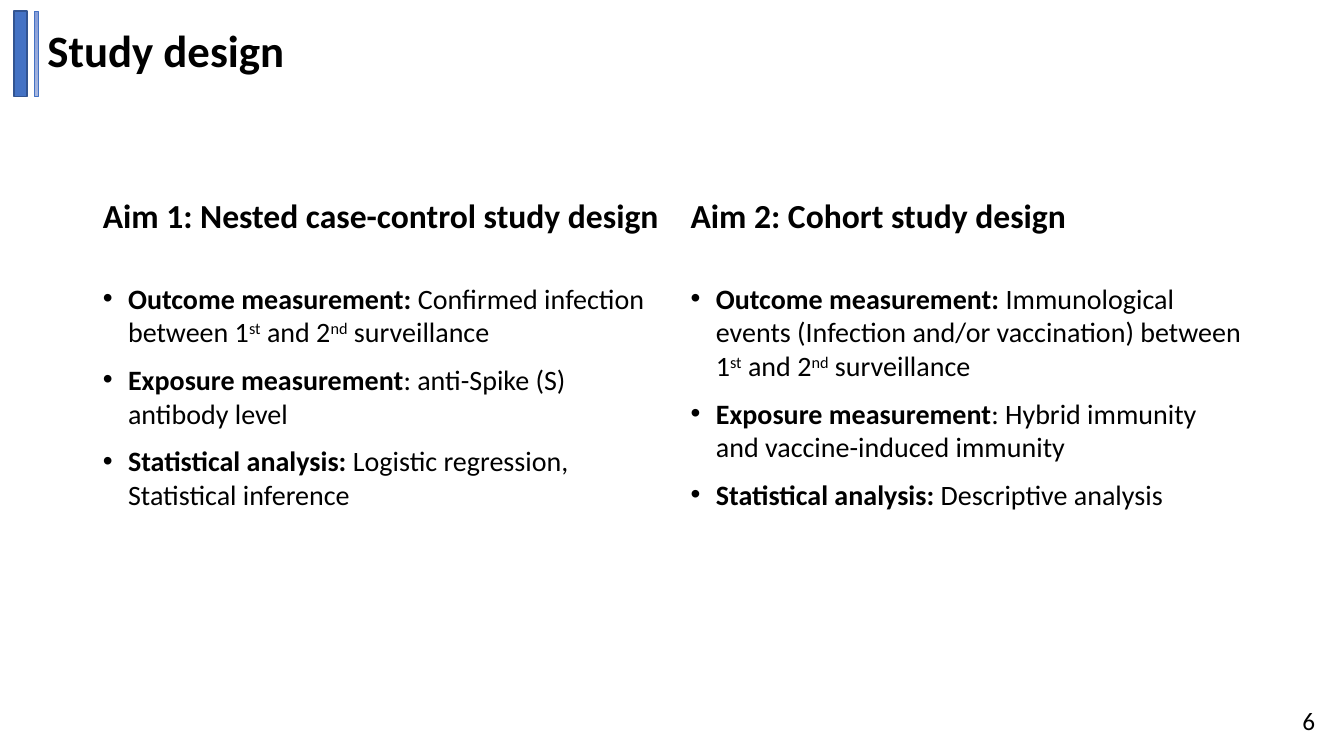
from lxml import etree
from pptx import Presentation
from pptx.dml.color import RGBColor
from pptx.enum.shapes import MSO_SHAPE
from pptx.enum.text import MSO_ANCHOR, MSO_AUTO_SIZE, PP_ALIGN
from pptx.oxml.ns import qn
from pptx.util import Inches, Pt

RECTANGLE = MSO_SHAPE.RECTANGLE
TOP, MIDDLE, BOTTOM = MSO_ANCHOR.TOP, MSO_ANCHOR.MIDDLE, MSO_ANCHOR.BOTTOM
LEFT = PP_ALIGN.LEFT
FIXED = MSO_AUTO_SIZE.NONE

BLACK = RGBColor(0x00, 0x00, 0x00)
BLUE = RGBColor(0x44, 0x72, 0xC4)
DARK_BLUE = RGBColor(0x32, 0x54, 0x91)
PALE_BLUE = RGBColor(0xA8, 0xB7, 0xDF)
SOFT_BLUE = RGBColor(0x88, 0x9E, 0xD7)
FONT = "Calibri"
COMPARISON_LAYOUT = 4

TITLE = "Study design"
PAGE_NUMBER = "6"
SUPERSCRIPT_MARK = "^"
AIMS = [
    {
        "heading": "Aim 1: Nested case-control study design",
        "left": 0.92, "heading_width": 5.75, "list_width": 5.64,
        "points": [
            ("Outcome measurement: ",
             "Confirmed infection between 1^st^ and 2^nd^ surveillance"),
            ("Exposure measurement", ": anti-Spike (S) antibody level"),
            ("Statistical analysis: ",
             "Logistic regression, Statistical inference"),
        ],
    },
    {
        "heading": "Aim 2: Cohort study design",
        "left": 6.75, "heading_width": 5.67, "list_width": 5.67,
        "points": [
            ("Outcome measurement: ",
             "Immunological events (Infection and/or vaccination) between "
             "1^st^ and 2^nd^ surveillance"),
            ("Exposure measurement",
             ": Hybrid immunity and vaccine-induced immunity"),
            ("Statistical analysis: ", "Descriptive analysis"),
        ],
    },
]
HEADING_TOP, HEADING_HEIGHT = 1.84, 0.9
LIST_TOP, LIST_HEIGHT = HEADING_TOP + HEADING_HEIGHT, 4.03
BAR_TOP, BAR_HEIGHT = 0.11, 0.85


def place(box, left, top, width, height, anchor):
    """Position a text shape and return its wrapped, fixed-size frame."""
    box.left, box.top = Inches(left), Inches(top)
    box.width, box.height = Inches(width), Inches(height)
    frame = box.text_frame
    frame.auto_size = FIXED
    frame.word_wrap = True
    frame.vertical_anchor = anchor
    return frame


def style(para, size, bold=None, spacing=1.0, before=0):
    """Set the shared paragraph look."""
    para.alignment = LEFT
    para.line_spacing = spacing
    para.space_before = Pt(before)
    para.font.name = FONT
    para.font.size = Pt(size)
    para.font.bold = bold
    para.font.color.rgb = BLACK


def add_bullet(para):
    """Give a paragraph a hanging round bullet."""
    properties = para._p.get_or_add_pPr()
    properties.set("marL", str(Inches(0.25)))
    properties.set("indent", str(-Inches(0.25)))
    etree.SubElement(properties, qn("a:buFont")).set("typeface", "Arial")
    etree.SubElement(properties, qn("a:buChar")).set("char", "•")


def add_span(para, text, bold=False, raised=False):
    """Append a run, optionally bold or superscript."""
    span = para.add_run()
    span.text = text
    span.font.bold = bold
    if raised:
        span.font._element.set("baseline", "30000")


def fill_points(frame, points):
    """Write the bulleted points of one aim."""
    for index, (label, detail) in enumerate(points):
        para = frame.add_paragraph() if index else frame.paragraphs[0]
        add_bullet(para)
        style(para, 20, before=10 if index else 0)
        add_span(para, label, bold=True)
        for part, text in enumerate(detail.split(SUPERSCRIPT_MARK)):
            add_span(para, text, raised=part % 2 == 1)


def add_bar(page, left, width, line_color, line_width):
    """Add one upright accent bar and return it."""
    bar = page.shapes.add_shape(RECTANGLE, Inches(left), Inches(BAR_TOP),
                                Inches(width), Inches(BAR_HEIGHT))
    bar.shadow.inherit = False
    bar.line.color.rgb = line_color
    bar.line.width = Pt(line_width)
    return bar


def main():
    """Build the study design slide."""
    deck = Presentation()
    deck.slide_width, deck.slide_height = Inches(13.33), Inches(7.5)
    page = deck.slides.add_slide(deck.slide_layouts[COMPARISON_LAYOUT])
    title, *bodies = page.placeholders

    frame = place(title, 0.37, 0.13, 4.22, 0.8, MIDDLE)
    frame.text = TITLE
    style(frame.paragraphs[0], 32, bold=True, spacing=0.9)

    for aim, heading, points in zip(AIMS, bodies[::2], bodies[1::2]):
        frame = place(heading, aim["left"], HEADING_TOP,
                      aim["heading_width"], HEADING_HEIGHT, BOTTOM)
        frame.margin_bottom = Inches(0.4)
        frame.text = aim["heading"]
        style(frame.paragraphs[0], 24, bold=True, spacing=0.9)
        frame = place(points, aim["left"], LIST_TOP,
                      aim["list_width"], LIST_HEIGHT, TOP)
        fill_points(frame, aim["points"])

    wide_bar = add_bar(page, 0.14, 0.13, DARK_BLUE, 1)
    wide_bar.fill.solid()
    wide_bar.fill.fore_color.rgb = BLUE
    thin_bar = add_bar(page, 0.34, 0.04, BLUE, 0.5)
    thin_bar.fill.gradient()
    thin_bar.fill.gradient_angle = 90
    for stop, color in zip(thin_bar.fill.gradient_stops,
                           (PALE_BLUE, SOFT_BLUE)):
        stop.color.rgb = color

    number = page.shapes.add_textbox(0, 0, 0, 0)
    frame = place(number, 12.82, 6.95, 0.33, 0.4, TOP)
    frame.word_wrap = False
    frame.text = PAGE_NUMBER
    style(frame.paragraphs[0], 18)

    deck.save("out.pptx")


if __name__ == "__main__":
    main()
